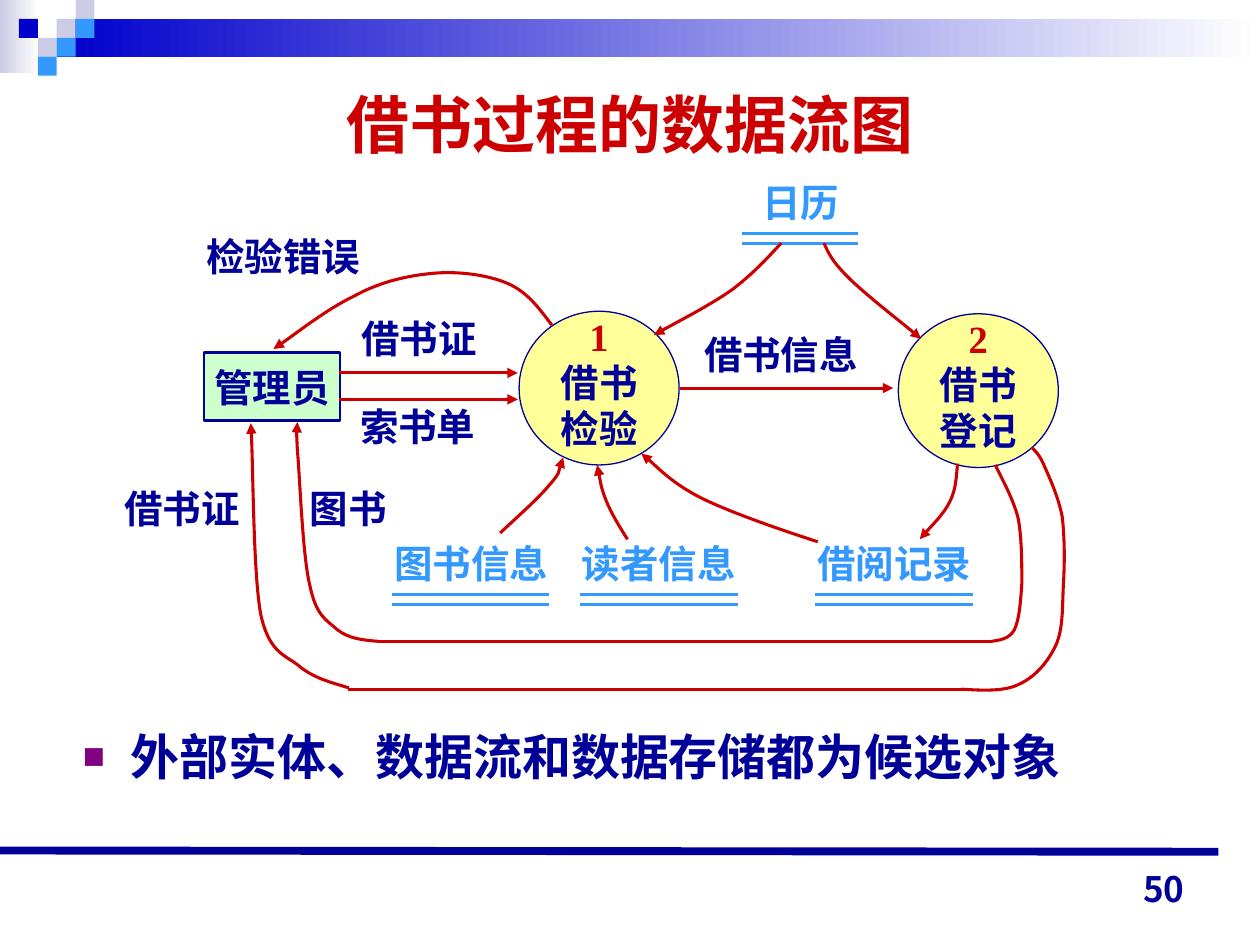
from lxml.etree import SubElement
from pptx import Presentation
from pptx.dml.color import RGBColor as RGB
from pptx.enum.shapes import MSO_CONNECTOR as CONN, MSO_SHAPE as SHAPE
from pptx.enum.text import MSO_ANCHOR as ANCHOR, PP_ALIGN as ALIGN
from pptx.oxml.ns import qn
from pptx.util import Cm, Pt

THEME = {
    "navy": "000099", "red": "CC0000", "sky": "3399FF", "blue": "0000CC",
    "mist": "CCCCE6", "white": "FFFFFF", "mint": "CCFFCC", "cream": "FFFF99",
    "purple": "800080", "sans": "Arial", "serif": "Times New Roman",
    "cjk": "Noto Sans CJK JP", "title": 36, "body": 28, "label": 22, "number": 20,
    "flow": 1.75, "border": 1.5, "thin": 0.75, "rule": 4.5,
}
CM_PER_UNIT = 2.54

TITLE = "借书过程的数据流图"
CONCLUSION = "外部实体、数据流和数据存储都为候选对象"
PAGE = "50"

BANDS = [((0, 0, 0.31, 0.58), "mist"), ((0.45, 0.15, 9.55, 0.3), "blue")]
TILE = 0.15
TILES = [(3, 1, "mist"), (4, 0, "mist"), (4, 1, "sky"), (2, 2, "mist"),
         (1, 1, "blue"), (3, 2, "sky"), (2, 3, "sky")]

ENTITY = ("管理员", (1.62, 2.8, 1.08, 0.54))
PROCESSES = [(["1", "借书", "检验"], 4.12, 2.47), (["2", "借书", "登记"], 7.13, 2.49)]
STORES = [("日历", 5.95, 1.37, 5.89, 6.81), ("借阅记录", 6.39, 4.24, 6.47, 7.72),
          ("读者信息", 4.52, 4.24, 4.6, 5.86), ("图书信息", 3.03, 4.24, 3.11, 4.36)]
FLOW_LABELS = [("索书单", 2.76, 3.15), ("借书证", 2.77, 2.45), ("检验错误", 1.54, 1.8),
               ("借书信息", 5.49, 2.58), ("借书证", 0.89, 3.8), ("图书", 2.36, 3.8)]
STRAIGHT_FLOWS = [
    ((2.69, 2.96), (4.11, 2.96), True), ((2.69, 3.17), (4.11, 3.17), True),
    ((5.4, 3.08), (7.09, 3.08), True),
    ((3, 5.09), (7.87, 5.09), False), ((2.76, 5.47), (7.64, 5.47), False),
]
CURVED_FLOWS = [
    ([(6.54, 1.93), (6.57, 2), (6.6, 2.07), (6.73, 2.2),
      (6.86, 2.33), (7.22, 2.61), (7.31, 2.69)], True),
    ([(6.2, 1.93), (6.09, 2.05), (5.97, 2.18), (5.81, 2.3),
      (5.64, 2.42), (5.29, 2.6), (5.19, 2.66)], True),
    ([(4.38, 2.58), (4.28, 2.45), (4.19, 2.32), (4.03, 2.25),
      (3.87, 2.18), (3.63, 2.15), (3.43, 2.17), (3.22, 2.19), (3.01, 2.24), (2.81, 2.35),
      (2.6, 2.45), (2.28, 2.7), (2.17, 2.77)], True),
    ([(7.6, 3.68), (7.59, 3.78), (7.59, 3.88), (7.54, 3.98),
      (7.49, 4.08), (7.34, 4.23), (7.3, 4.28)], True),
    ([(6.49, 4.3), (6.15, 4.19), (5.81, 4.07), (5.58, 3.96),
      (5.34, 3.84), (5.17, 3.66), (5.09, 3.6)], True),
    ([(4.98, 4.28), (4.91, 4.17), (4.85, 4.07), (4.81, 3.97),
      (4.77, 3.87), (4.75, 3.74), (4.74, 3.69)], True),
    ([(3.97, 4.23), (4.12, 4.09), (4.28, 3.95), (4.36, 3.85),
      (4.45, 3.75), (4.45, 3.67), (4.47, 3.63)], True),
    ([(3, 5.09), (2.88, 5.08), (2.77, 5.07), (2.68, 5),
      (2.59, 4.92), (2.51, 4.89), (2.46, 4.65), (2.4, 4.41), (2.38, 3.78), (2.36, 3.57),
      (2.35, 3.35), (2.36, 3.38), (2.36, 3.35)], True),
    ([(2.77, 5.46), (2.64, 5.42), (2.51, 5.39), (2.39, 5.3),
      (2.28, 5.2), (2.14, 5.2), (2.07, 4.88), (2.01, 4.56), (2.01, 3.61), (1.99, 3.36)], True),
    ([(7.87, 5.09), (7.94, 5.08), (8.01, 5.07), (8.05, 5),
      (8.09, 4.92), (8.1, 4.78), (8.11, 4.63), (8.11, 4.48), (8.11, 4.26), (8.08, 4.11),
      (8.04, 3.95), (7.93, 3.76), (7.9, 3.69)], False),
    ([(7.63, 5.47), (7.8, 5.48), (7.97, 5.49), (8.09, 5.43),
      (8.22, 5.37), (8.32, 5.25), (8.38, 5.12), (8.44, 4.99), (8.43, 4.81), (8.44, 4.64),
      (8.45, 4.47), (8.45, 4.26), (8.43, 4.1), (8.4, 3.94), (8.32, 3.77), (8.28, 3.68),
      (8.24, 3.59), (8.2, 3.57), (8.19, 3.55)], False),
]


def cm(*values):
    return [Cm(v * CM_PER_UNIT) for v in values]


def color(name):
    return RGB.from_string(THEME[name])


def set_attrs(obj, values):
    for key, value in values.items():
        setattr(obj, key, value)


def write(p, text, ink="navy", size="label", face="sans", align=ALIGN.LEFT):
    p.alignment = align
    r = p.add_run()
    r.text = text
    set_attrs(r.font, {"name": THEME[face], "size": Pt(THEME[size]), "bold": True})
    r.font.color.rgb = color(ink)


def add_text(s, box, text, wrap=False, anchor=ANCHOR.TOP, **style):
    tf = s.shapes.add_textbox(*cm(*box)).text_frame
    set_attrs(tf, {"word_wrap": wrap, "vertical_anchor": anchor})
    write(tf.paragraphs[0], text, **style)
    return tf.paragraphs[0]


def add_label(s, text, x, y, ink="navy"):
    add_text(s, (x, y, 0.2 + 0.305 * len(text), 0.47), text, ink=ink)


def add_block(s, kind, box, fill=None, border=None):
    sp = s.shapes.add_shape(kind, *cm(*box))
    sp.shadow.inherit = False
    if fill:
        sp.fill.solid()
        sp.fill.fore_color.rgb = color(fill)
    if border:
        sp.line.color.rgb = color("navy")
        sp.line.width = Pt(THEME[border])
    else:
        sp.line.fill.background()
    return sp


def stroke(sp, ink="red", width="flow", arrow=False):
    sp.line.color.rgb = color(ink)
    sp.line.width = Pt(THEME[width])
    if arrow:
        SubElement(sp.line._get_or_add_ln(), qn("a:tailEnd"), type="triangle")


def add_line(s, start, end, **style):
    sp = s.shapes.add_connector(CONN.STRAIGHT, *cm(*start, *end))
    stroke(sp, **style)
    SubElement(sp._element.spPr, qn("a:effectLst"))


def add_curve(s, points, arrow):
    start, *rest = [cm(*pt) for pt in points]
    builder = s.shapes.build_freeform(*start)
    builder.add_line_segments(rest, close=False)
    sp = builder.convert_to_shape()
    sp.shadow.inherit = False
    sp.fill.background()
    stroke(sp, arrow=arrow)
    segments = list(sp._element.iter(qn("a:lnTo")))
    for i in range(0, len(segments), 3):
        outline = segments[i].getparent()
        bezier = SubElement(outline, qn("a:cubicBezTo"))
        for segment in segments[i:i + 3]:
            bezier.append(segment[0])
            outline.remove(segment)


def add_frame(s):
    for box, shade in BANDS:
        sp = add_block(s, SHAPE.RECTANGLE, box)
        sp.fill.gradient()
        sp.fill.gradient_angle = 180
        for stop, name, pos in zip(sp.fill.gradient_stops, ("white", shade), (0, 1)):
            stop.color.rgb = color(name)
            stop.position = pos
    for col, row, fill in TILES:
        add_block(s, SHAPE.RECTANGLE, (col * TILE, row * TILE, TILE, TILE), fill)
    add_line(s, (0, 6.75), (9.67, 6.76), ink="navy", width="rule")
    add_text(s, (7.17, 6.77, 2.33, 0.5), PAGE, True, ANCHOR.BOTTOM,
             size="number", face="cjk", align=ALIGN.RIGHT)


def add_texts(s):
    title = s.shapes.title
    set_attrs(title, dict(zip(("left", "top", "width", "height"), cm(0.5, 0.5, 9, 0.96))))
    title.text_frame.vertical_anchor = ANCHOR.MIDDLE
    write(title.text_frame.paragraphs[0], TITLE, "red", "title", align=ALIGN.CENTER)
    p = add_text(s, (0.56, 5.72, 9, 0.74), CONCLUSION, True, size="body")
    pPr = p._p.get_or_add_pPr()
    indent = cm(0.38)[0]
    pPr.set("marL", str(indent))
    pPr.set("indent", str(-indent))
    SubElement(SubElement(pPr, qn("a:buClr")), qn("a:srgbClr"), val=THEME["purple"])
    SubElement(pPr, qn("a:buSzPct"), val="75000")
    SubElement(pPr, qn("a:buFont"), typeface=THEME["sans"])
    SubElement(pPr, qn("a:buChar"), char="■")


def add_diagram(s):
    name, box = ENTITY
    tf = add_block(s, SHAPE.RECTANGLE, box, "mint", "border").text_frame
    set_attrs(tf, {"word_wrap": False, "vertical_anchor": ANCHOR.MIDDLE})
    write(tf.paragraphs[0], name, align=ALIGN.CENTER)
    for lines, x, y in PROCESSES:
        tf = add_block(s, SHAPE.OVAL, (x, y, 1.27, 1.22), "cream", "thin").text_frame
        set_attrs(tf, {"word_wrap": False, "vertical_anchor": ANCHOR.MIDDLE,
                       "margin_top": 0, "margin_bottom": cm(0.1)[0]})
        for i, line in enumerate(lines):
            p = tf.add_paragraph() if i else tf.paragraphs[0]
            write(p, line, "navy" if i else "red", face="serif", align=ALIGN.CENTER)
    for name, x, y, left, right in STORES:
        add_label(s, name, x, y, "sky")
        for offset in (0.48, 0.56):
            add_line(s, (left, y + offset), (right, y + offset), ink="sky")
    for label in FLOW_LABELS:
        add_label(s, *label)
    for start, end, arrow in STRAIGHT_FLOWS:
        add_line(s, start, end, arrow=arrow)
    for points, arrow in CURVED_FLOWS:
        add_curve(s, points, arrow)


def main():
    prs = Presentation()
    prs.slide_width, prs.slide_height = cm(10, 7.5)
    s = prs.slides.add_slide(prs.slide_layouts[5])
    add_frame(s)
    add_texts(s)
    add_diagram(s)
    prs.save("out.pptx")


if __name__ == "__main__":
    main()
